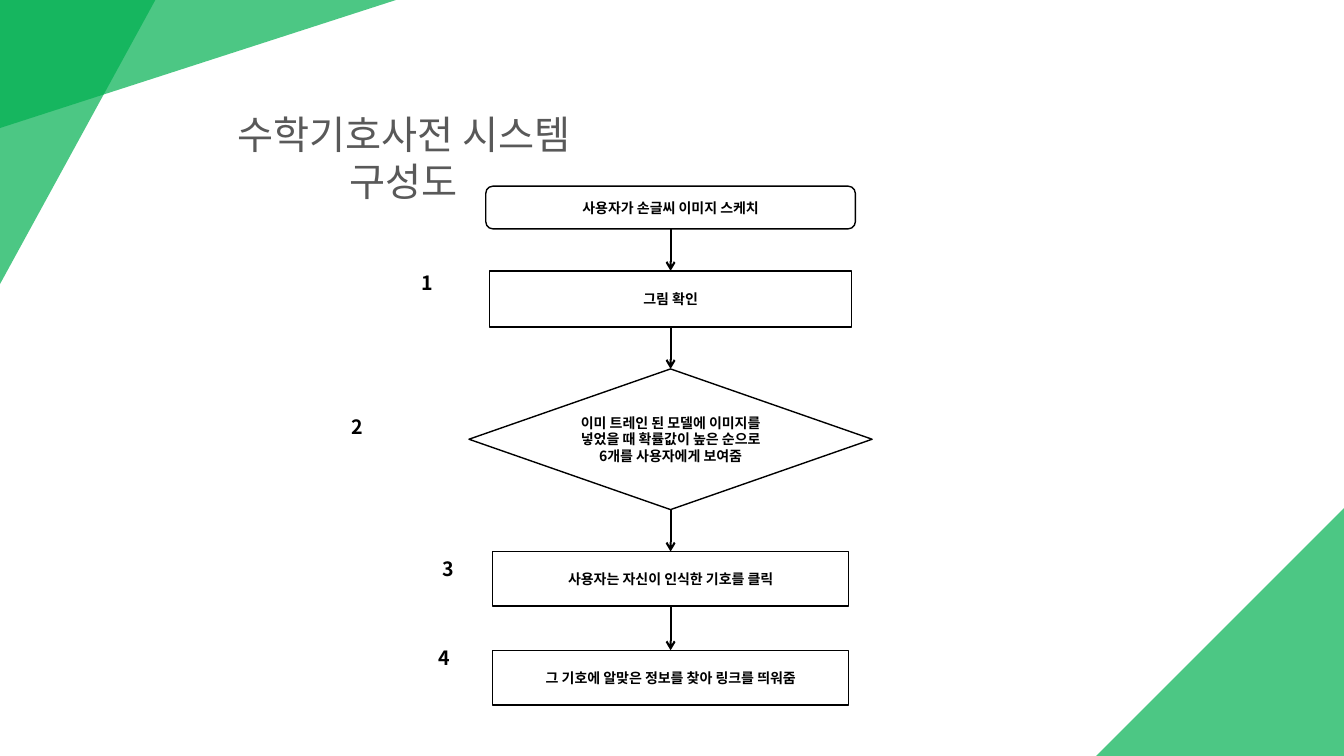
"""Build a flowchart slide of the math symbol dictionary system."""
from lxml import etree
from pptx import Presentation
from pptx.dml.color import RGBColor
from pptx.enum import shapes, text
from pptx.oxml import ns
from pptx.util import Pt

GREEN = RGBColor(0x00, 0xB0, 0x50)
GRAY = RGBColor(0x59, 0x59, 0x59)
BLACK = RGBColor(0x00, 0x00, 0x00)
FONT = "Noto Sans CJK KR"
WIDTH, HEIGHT = 960, 540
FLOW_CENTER = 479
SHAPE = shapes.MSO_SHAPE

CORNERS = [
    (0, 0, 111, 203, "flipV"),
    (0, 0, 283, 91.5, "flipV"),
    (WIDTH - 177, HEIGHT - 177, 177, 177, "flipH"),
]
STEPS = [
    (SHAPE.ROUNDED_RECTANGLE, 133, 264, 30.5, "사용자가 손글씨 이미지 스케치"),
    (SHAPE.RECTANGLE, 193.5, 258.5, 40, "그림 확인"),
    (SHAPE.DIAMOND, 263.5, 288, 100.5,
     "이미 트레인 된 모델에 이미지를 넣었을 때 확률값이 높은 순으로 6개를 사용자에게 보여줌"),
    (SHAPE.RECTANGLE, 394, 254, 39, "사용자는 자신이 인식한 기호를 클릭"),
    (SHAPE.RECTANGLE, 464.5, 254, 39, "그 기호에 알맞은 정보를 찾아 링크를 띄워줌"),
]
NUMBERS = [("1", 294, 190), ("2", 244, 292.5), ("3", 309, 394), ("4", 306.5, 458)]


def write_text(shape, content, size, color, bold, alignment):
    """Write one wrapped paragraph into a shape."""
    frame = shape.text_frame
    frame.word_wrap = True
    paragraph = frame.paragraphs[0]
    paragraph.alignment = alignment
    run = paragraph.add_run()
    run.text = content
    run.font.size = Pt(size)
    run.font.bold = bold
    run.font.color.rgb = color
    run.font.name = FONT
    east_asian = etree.SubElement(run.font._element, ns.qn("a:ea"))
    east_asian.set("typeface", FONT)


def add_corner(slide, left, top, width, height, flip):
    """Add a translucent green triangle filling a slide corner."""
    triangle = slide.shapes.add_shape(
        SHAPE.RIGHT_TRIANGLE, Pt(left), Pt(top), Pt(width), Pt(height))
    triangle.shadow.inherit = False
    triangle.line.fill.background()
    triangle.fill.solid()
    triangle.fill.fore_color.rgb = GREEN
    properties = triangle._element.spPr
    properties.find(ns.qn("a:xfrm")).set(flip, "1")
    color = properties.find(ns.qn("a:solidFill"))[0]
    etree.SubElement(color, ns.qn("a:alpha")).set("val", "70000")


def add_label(slide, content, left, top, width, height, size, color,
              bold=True, alignment=text.PP_ALIGN.LEFT):
    """Add a text box."""
    box = slide.shapes.add_textbox(Pt(left), Pt(top), Pt(width), Pt(height))
    write_text(box, content, size, color, bold, alignment)


def add_step(slide, kind, top, width, height, content):
    """Add an outlined flowchart step centred on the flow axis."""
    step = slide.shapes.add_shape(
        kind, Pt(FLOW_CENTER - width / 2), Pt(top), Pt(width), Pt(height))
    step.shadow.inherit = False
    step.fill.background()
    step.line.color.rgb = BLACK
    step.line.width = Pt(1)
    step.text_frame.vertical_anchor = text.MSO_ANCHOR.MIDDLE
    write_text(step, content, 10, BLACK, True, text.PP_ALIGN.CENTER)
    return step


def add_arrow(slide, upper, lower):
    """Join the bottom of one step to the top of the next."""
    arrow = slide.shapes.add_connector(shapes.MSO_CONNECTOR.STRAIGHT, 0, 0, 0, 0)
    arrow.begin_connect(upper, 2)
    arrow.end_connect(lower, 0)
    arrow.line.color.rgb = BLACK
    arrow.line.width = Pt(1.5)
    line = arrow.line._get_or_add_ln()
    etree.SubElement(line, ns.qn("a:tailEnd")).set("type", "arrow")
    etree.SubElement(arrow._element.spPr, ns.qn("a:effectLst"))


def main():
    """Compose and save the slide."""
    presentation = Presentation()
    presentation.slide_width = Pt(WIDTH)
    presentation.slide_height = Pt(HEIGHT)
    slide = presentation.slides.add_slide(presentation.slide_layouts[6])
    for corner in CORNERS:
        add_corner(slide, *corner)
    add_label(slide, "수학기호사전 시스템 구성도", 127.5, 75.5, 322, 41, 28, GRAY,
              bold=False, alignment=text.PP_ALIGN.CENTER)
    steps = [add_step(slide, *step) for step in STEPS]
    for upper, lower in zip(steps, steps[1:]):
        add_arrow(slide, upper, lower)
    for number, left, top in NUMBERS:
        add_label(slide, number, left, top, 44.5, 31, 14, BLACK)
    presentation.save("out.pptx")


if __name__ == "__main__":
    main()
